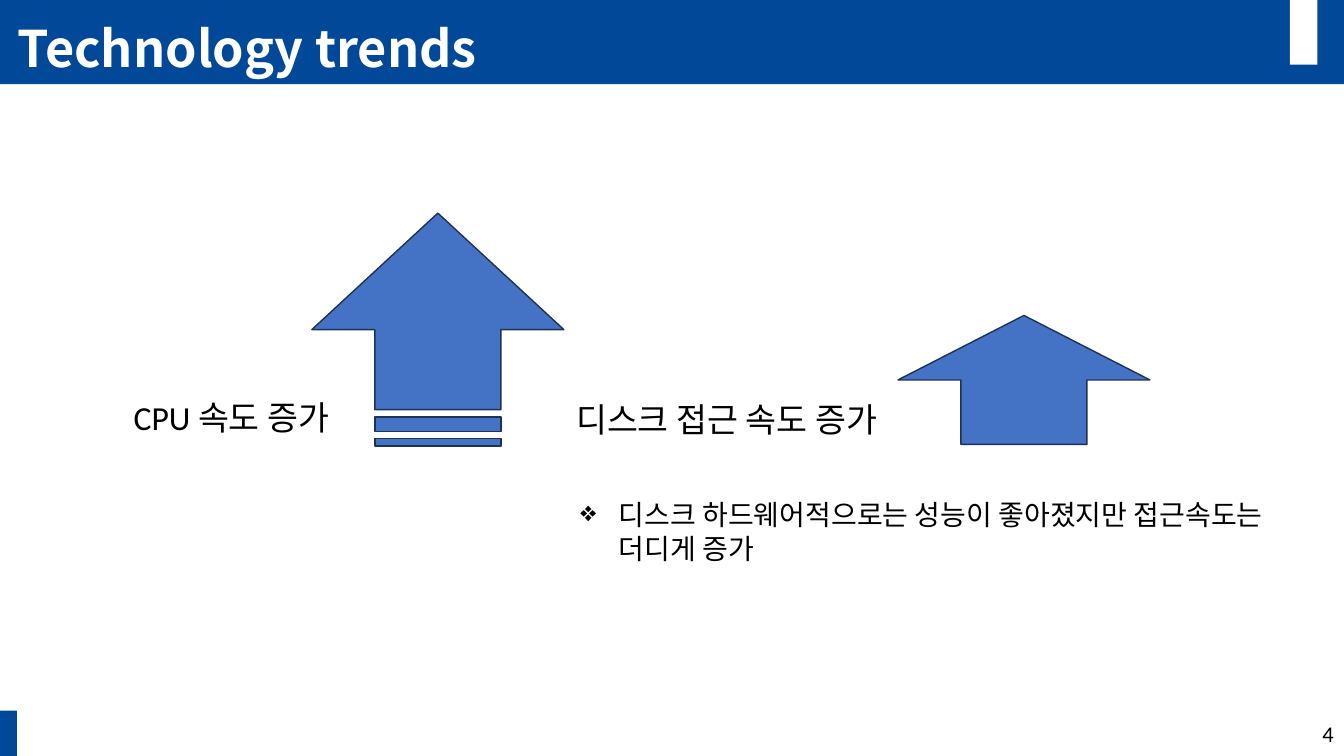
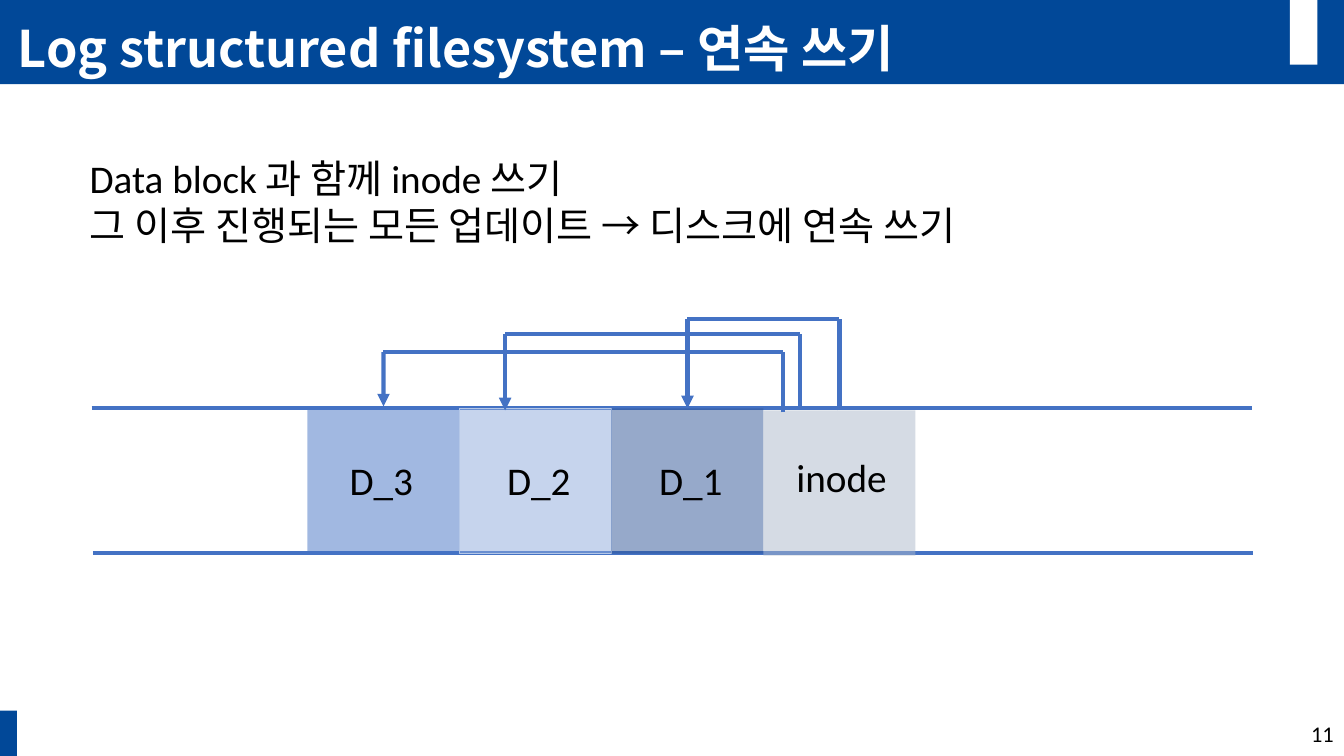
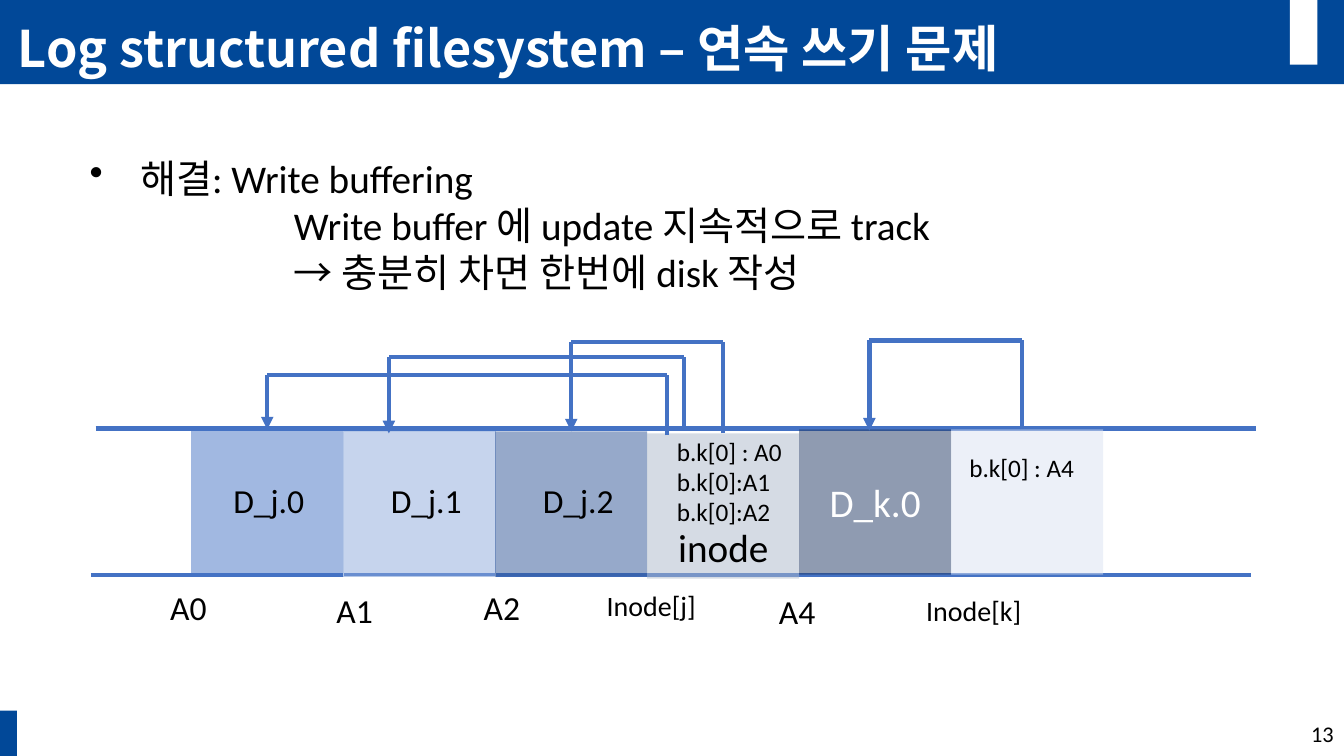
import pptx
import pptx.chart.data
import pptx.dml.color
import pptx.enum.shapes
import pptx.enum.text
import pptx.oxml.ns
import pptx.util
from lxml import etree

Cm = pptx.util.Cm
Pt = pptx.util.Pt
RGBColor = pptx.dml.color.RGBColor
SHAPE = pptx.enum.shapes.MSO_SHAPE
ANCHOR = pptx.enum.text.MSO_ANCHOR
ALIGN = pptx.enum.text.PP_ALIGN
qn = pptx.oxml.ns.qn

NAVY = RGBColor(0x01, 0x48, 0x98)
BLUE = RGBColor(0x44, 0x72, 0xC4)
OUTLINE = RGBColor(0x1E, 0x32, 0x56)
PALE_LINE = RGBColor(0xB4, 0xC7, 0xE7)
WHITE = RGBColor(0xFF, 0xFF, 0xFF)
BLACK = RGBColor(0, 0, 0)
BODY_FONT = "Calibri"
KOREAN_FONT = "Noto Sans CJK KR"

BANDS = [
    ((0, 0, 33.87, 2.12), NAVY),
    ((32.51, 0, 0.69, 1.63), WHITE),
    ((-0.03, 17.91, 0.46, 1.17), NAVY),
]
TITLE_BOX = (0.2, 0, 29.21, 2.11)
NUMBER_BOX = (26.24, 17.98, 7.62, 1.02)

TREND_ARROWS = [
    (SHAPE.STRIPED_RIGHT_ARROW, (8.1, 5.13, 5.87, 6.35), 270),
    (SHAPE.UP_ARROW, (22.63, 7.95, 6.35, 3.25), 0),
]
TREND_LABELS = [
    ((3.12, 9.88, 6.35, 1.27), "CPU 속도 증가"),
    ((14.27, 9.93, 9.32, 1.27), "디스크 접근 속도 증가"),
]
TREND_NOTE = "디스크 하드웨어적으로는 성능이 좋아졌지만 접근속도는 더디게 증가"

BLOCK_W, BLOCK_H = 3.83, 3.66
RAIL_W = 29.24
BLOCKS = [
    (0, BLUE, None),
    (0.05, RGBColor(0x8F, 0xAA, 0xDC), PALE_LINE),
    (0.05, RGBColor(0x2F, 0x55, 0x97), None),
    (0.1, RGBColor(0xAD, 0xB9, 0xCA), None),
    (0, RGBColor(0x20, 0x38, 0x64), None),
    (0, RGBColor(0xDA, 0xE3, 0xF3), None),
]
LABEL_INSETS = [0.81, 0.95, 0.95]
INODE_POINTERS = [
    {"start": 3.5 * BLOCK_W, "end": 2.5 * BLOCK_W, "top": -2.21, "foot": 0,
     "tip": 0.15, "from_block": 3, "to_block": 2},
    {"start": 12.42, "end": 4.98, "top": -1.83, "foot": 0, "tip": 0.1},
    {"start": 11.99, "end": 0.5 * BLOCK_W, "top": -1.37, "foot": 0.15,
     "tip": 0.15, "to_block": 0},
]
SECOND_POINTER = {"start": 20.93, "end": 17.09, "top": -2.24, "foot": 0, "tip": 0.03}

WRITE_LOG = {
    "origin": (7.75, 10.24), "rails": [(2.34, 13.94), (2.31, 10.29)],
    "names": ["D_3", "D_2", "D_1"], "size": 28, "inode": (12.07, 1.07),
    "blocks": BLOCKS[:4], "pointers": INODE_POINTERS,
}
BUFFER_LOG = {
    "origin": (4.82, 10.82), "rails": [(2.29, 14.48), (2.41, 10.8)],
    "names": ["D_j.0", "D_j.1", "D_j.2"], "size": 24, "inode": (12.02, 2.24),
    "blocks": BLOCKS, "pointers": INODE_POINTERS + [SECOND_POINTER],
}
WRITE_LINES = ["Data block 과 함께 inode 쓰기",
               "그 이후 진행되는 모든 업데이트 → 디스크에 연속 쓰기"]
BUFFER_LINES = ["해결: Write buffering",
                "Write buffer 에 update 지속적으로 track",
                "→ 충분히 차면 한번에 disk 작성"]
BUFFER_LABELS = [
    ((16.81, 10.87, 3.3, 2.57), ["b.k[0] : A0", "b.k[0]:A1", "b.k[0]:A2"], 18),
    ((24.18, 11.28, 3.3, 1.02), ["b.k[0] : A4"], 18),
    ((4.04, 14.66, 1.6, 1.27), ["A0"], 24),
    ((8.23, 14.73, 1.6, 1.27), ["A1"], 24),
    ((11.94, 14.66, 1.6, 1.27), ["A2"], 24),
    ((15.04, 14.71, 3.48, 1.12), ["Inode[j]"], 20),
    ((19.38, 14.76, 1.6, 1.27), ["A4"], 24),
    ((23.09, 14.83, 3.15, 1.12), ["Inode[k]"], 20),
]


def lengths(values):
    return [Cm(v) for v in values]


def add_shape(s, kind, box, fill, line=None, line_width=1, alpha=None):
    sp = s.shapes.add_shape(kind, *lengths(box))
    sp.shadow.inherit = False
    sp.fill.solid()
    sp.fill.fore_color.rgb = fill
    if alpha:
        color = sp.fill._xPr.find(".//" + qn("a:srgbClr"))
        etree.SubElement(color, qn("a:alpha"), val=str(alpha * 1000))
    if line is None:
        sp.line.fill.background()
    else:
        sp.line.color.rgb = line
        sp.line.width = Pt(line_width)
    return sp


def write(sp, lines, size, font=BODY_FONT, color=BLACK, bold=False,
          align=ALIGN.LEFT, anchor=ANCHOR.TOP):
    tf = sp.text_frame
    tf.word_wrap = True
    tf.vertical_anchor = anchor
    tf.text = "\n".join(lines)
    for p in tf.paragraphs:
        p.alignment = align
        for r in p.runs:
            r.font.size = Pt(size)
            r.font.name = font
            r.font.bold = bold
            r.font.color.rgb = color
            east_asian = etree.Element(qn("a:ea"), typeface=KOREAN_FONT)
            r.font._rPr.find(qn("a:latin")).addnext(east_asian)
    return tf.paragraphs


def add_text(s, box, lines, size, **style):
    return write(s.shapes.add_textbox(*lengths(box)), lines, size, **style)


def indent(p, left, bullet=None):
    pPr = p._p.get_or_add_pPr()
    pPr.set("marL", str(Cm(left)))
    pPr.set("indent", str(-Cm(left) if bullet else 0))
    if bullet:
        etree.SubElement(pPr, qn("a:buChar"), char=bullet)


def add_line(s, x1, y1, x2, y2, arrow=False):
    line = s.shapes.add_connector(pptx.enum.shapes.MSO_CONNECTOR.STRAIGHT,
                                  *lengths((x1, y1, x2, y2)))
    line.line.color.rgb = BLUE
    line.line.width = Pt(3)
    if arrow:
        etree.SubElement(line.line._get_or_add_ln(), qn("a:tailEnd"), type="triangle")
    etree.SubElement(line._element.spPr, qn("a:effectLst"))
    return line


def add_pointer(s, x, y, blocks, start, end, top, foot, tip,
                from_block=None, to_block=None):
    leg = add_line(s, x + start, y + foot, x + start, y + top)
    add_line(s, x + start, y + top, x + end, y + top)
    drop = add_line(s, x + end, y + top, x + end, y + tip, arrow=True)
    if from_block is not None:
        leg.begin_connect(blocks[from_block], 0)
    if to_block is not None:
        drop.end_connect(blocks[to_block], 0)


def add_log(s, log):
    x, y = log["origin"]
    for rail_x, rail_y in log["rails"]:
        add_line(s, rail_x, rail_y, rail_x + RAIL_W, rail_y)
    blocks = [
        add_shape(s, SHAPE.RECTANGLE, (x + i * BLOCK_W, y + dy, BLOCK_W, BLOCK_H),
                  fill, line, 0.75, alpha=50)
        for i, (dy, fill, line) in enumerate(log["blocks"])
    ]
    for i, (name, inset) in enumerate(zip(log["names"], LABEL_INSETS)):
        add_text(s, (x + i * BLOCK_W + inset, y + 1.14, 2.51, 1.45), [name], log["size"])
    for pointer in log["pointers"]:
        add_pointer(s, x, y, blocks, **pointer)
    dx, dy = log["inode"]
    add_text(s, (x + dx, y + dy, 4.93, 1.45), ["inode"], 28)
    return blocks


def add_slide(prs, title, number):
    s = prs.slides.add_slide(prs.slide_layouts[6])
    for box, fill in BANDS:
        add_shape(s, SHAPE.RECTANGLE, box, fill)
    add_text(s, NUMBER_BOX, [str(number)], 16, align=ALIGN.RIGHT, anchor=ANCHOR.MIDDLE)
    p = add_text(s, TITLE_BOX, [title], 36, font=KOREAN_FONT, color=WHITE,
                 bold=True, anchor=ANCHOR.BOTTOM)[0]
    p.line_spacing = 0.9
    return s


def trends_slide(prs):
    s = add_slide(prs, "Technology trends", 4)
    note = add_text(s, (14.38, 12.42, 18.57, 1.96), [TREND_NOTE], 20, font=KOREAN_FONT)
    indent(note[0], 0.96, "❖")
    for kind, box, rotation in TREND_ARROWS:
        add_shape(s, kind, box, BLUE, OUTLINE).rotation = rotation
    for box, label in TREND_LABELS:
        add_text(s, box, [label], 24)


def write_slide(prs):
    s = add_slide(prs, "Log structured filesystem – 연속 쓰기", 11)
    add_text(s, (2.01, 3.76, 29.21, 2.64), WRITE_LINES, 28)
    add_log(s, WRITE_LOG)


def buffer_slide(prs):
    s = add_slide(prs, "Log structured filesystem – 연속 쓰기 문제", 13)
    first, *details = add_text(s, (2.01, 3.76, 29.21, 3.84), BUFFER_LINES, 28)
    indent(first, 1.27, "•")
    for p in details:
        indent(p, 5.15)
    blocks = add_log(s, BUFFER_LOG)
    write(blocks[4], ["D_k.0"], 28, color=WHITE, align=ALIGN.CENTER, anchor=ANCHOR.MIDDLE)
    for box, lines, size in BUFFER_LABELS:
        add_text(s, box, lines, size)


def main():
    prs = pptx.Presentation()
    prs.slide_width, prs.slide_height = Cm(33.87), Cm(19.05)
    trends_slide(prs)
    write_slide(prs)
    buffer_slide(prs)
    prs.save("out.pptx")


if __name__ == "__main__":
    main()
